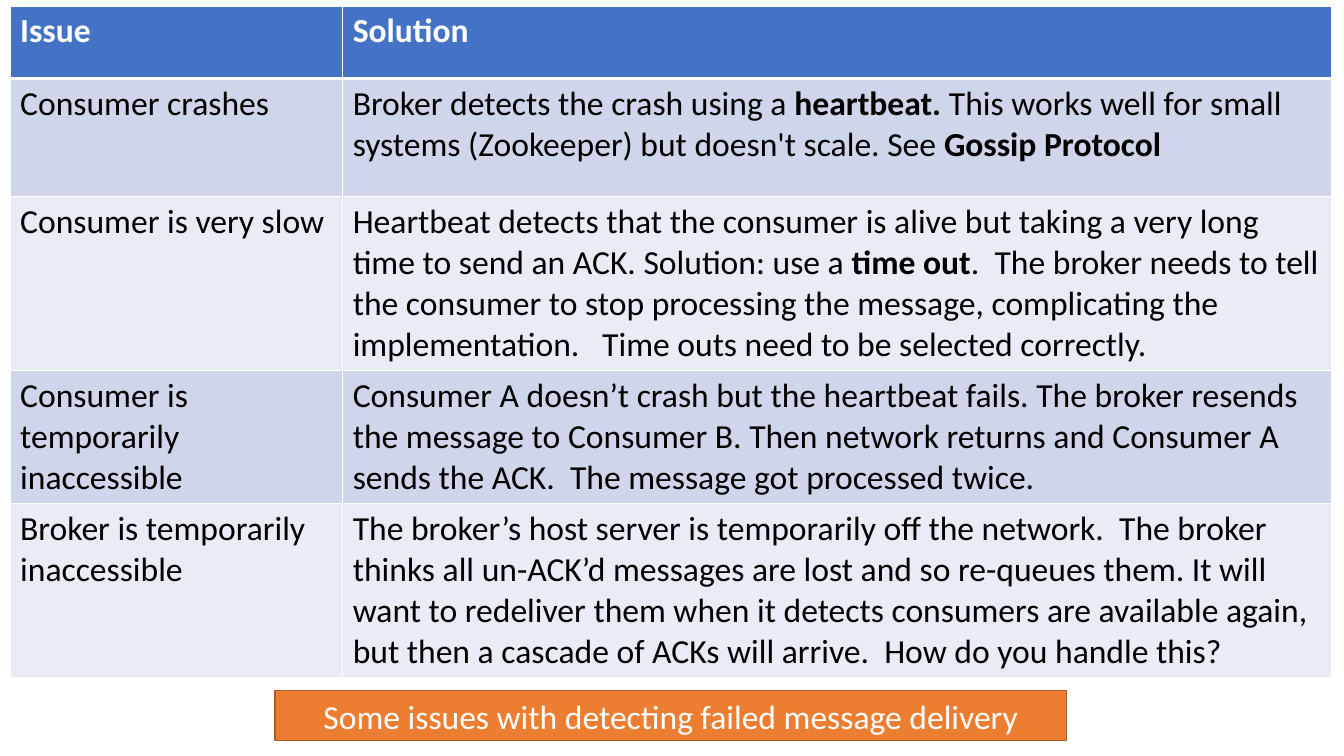
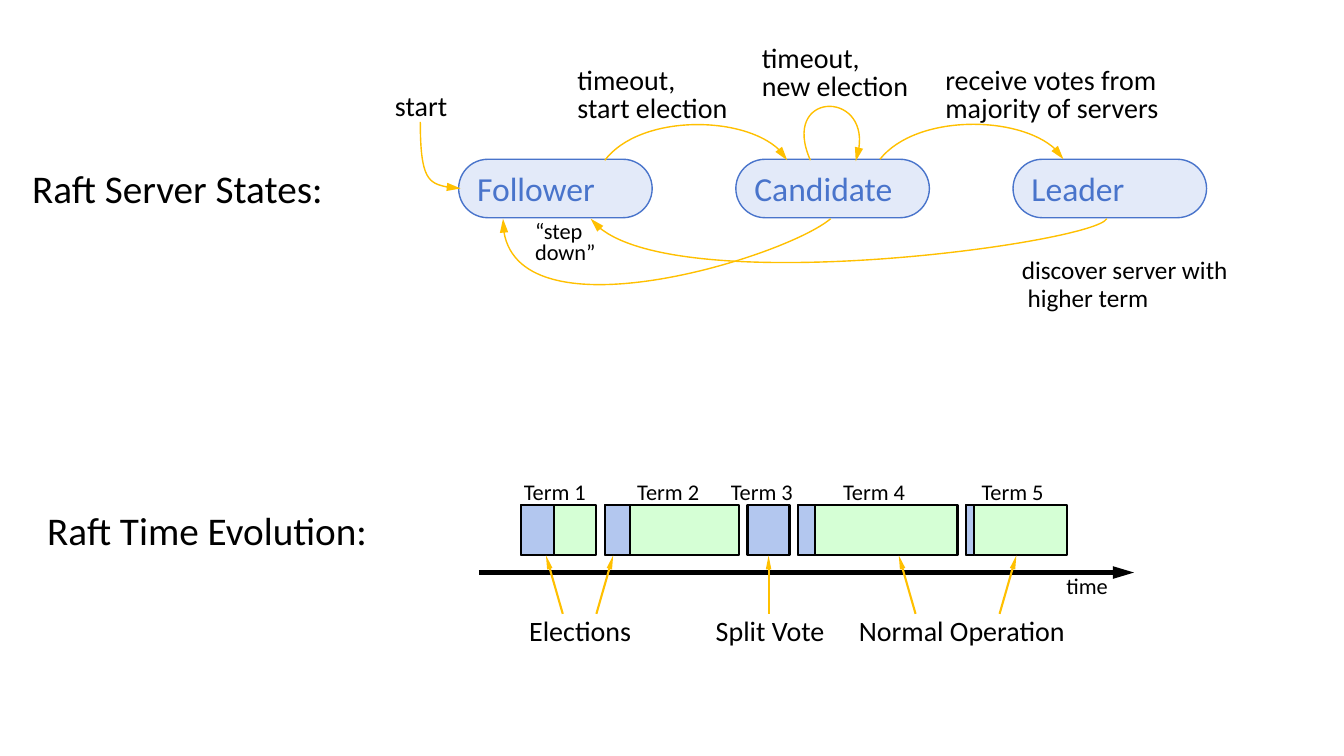
"""Build two slides on message delivery failures and the Raft protocol."""
from lxml.etree import SubElement
from pptx import Presentation
from pptx.dml.color import RGBColor
from pptx.enum.shapes import MSO_CONNECTOR, MSO_SHAPE
from pptx.enum.text import MSO_ANCHOR as Anchor, MSO_AUTO_SIZE as AutoSize, PP_ALIGN as Align
from pptx.oxml import parse_xml
from pptx.oxml.ns import nsdecls, qn
from pptx.util import Inches, Pt

FONT = "Calibri"
COLORS = {
    "white": "FFFFFF", "black": "000000", "header": "4472C4",
    "band": "CFD5EA", "pale band": "E9EBF5", "banner": "ED7D31",
    "banner line": "AF5C24", "state": "E3EAF9", "state line": "4974CB",
    "arrow": "FFC000", "election": "B3C7EF", "operation": "D5FFD5",
}

ISSUES = [
    ("**Issue", "**Solution"),
    ("Consumer crashes",
     "Broker detects the crash using a **heartbeat.** This works well for small systems "
     "(Zookeeper) but doesn't scale. See **Gossip Protocol"),
    ("Consumer is very slow",
     "Heartbeat detects that the consumer is alive but taking a very long time to send an ACK. "
     "Solution: use a **time out**.  The broker needs to tell the consumer to stop processing "
     "the message, complicating the implementation.   Time outs need to be selected correctly."),
    ("Consumer is temporarily inaccessible",
     "Consumer A doesn’t crash but the heartbeat fails. The broker resends the message to "
     "Consumer B. Then network returns and Consumer A sends the ACK.  The message got "
     "processed twice."),
    ("Broker is temporarily inaccessible",
     "The broker’s host server is temporarily off the network.  The broker thinks all un-ACK’d "
     "messages are lost and so re-queues them. It will want to redeliver them when it detects "
     "consumers are available again, but then a cascade of ACKs will arrive.  How do you "
     "handle this?"),
]
COLUMN_WIDTHS = [3.3, 9.81]
ROW_HEIGHTS = [0.72, 1.17, 1.49, 1.25, 1.49]
BANNER = "Some issues with detecting failed message delivery"

HEADINGS = [
    ("Raft Server States:", 0.22, 1.58, 3.27),
    ("Raft Time Evolution:", 0.37, 4.97, 3.58),
]
STATES = ["Follower", "Candidate", "Leader"]
TRANSITIONS = [
    [(4.17, 1.21), (4.17, 1.78), (4.29, 1.86), (4.57, 1.87)],
    [(6, 1.59), (6.35, 1.13), (7.57, 1.14), (7.81, 1.59)],
    [(8.73, 1.58), (9.09, 1.13), (10.3, 1.14), (10.55, 1.58)],
    [(8.04, 1.59), (7.74, 0.91), (8.73, 0.88), (8.49, 1.6)],
    [(8.24, 2.17), (7.79, 2.55), (4.97, 3.42), (4.99, 2.17)],
    [(10.98, 2.17), (10.85, 2.41), (6.49, 3.01), (5.86, 2.17)],
]
TRANSITION_LABELS = [
    ("start", 3.82, 0.83, 0.73, 0.44, 20, None),
    ("timeout,\nstart election", 5.63, 0.63, 1.71, 0.67, 20, 20),
    ("receive votes from\nmajority of servers", 9.28, 0.63, 2.34, 0.67, 20, 20),
    ("timeout,\nnew election", 7.46, 0.41, 1.67, 0.67, 20, 20),
    ("discover server with\n higher term", 10.04, 2.5, 2.27, 0.66, 18, 20),
    ("“step\ndown”", 5.21, 2.16, 0.81, 0.53, 16, 15),
]

UNIT = 1 / 12
TERMS_START, TERM_GAP = 62, 1
TERMS = [
    ("Term 1", 9, 4, 0.69), ("Term 2", 16, 3, 0.69), ("Term 3", 5, 5, 0.75),
    ("Term 4", 19, 2, 0.69), ("Term 5", 12, 1, 0.69),
]
TERM_TOP, TERM_HEIGHT = 5.01, 0.5
TIMELINE = (57, 135, 5.68)
POINTERS = [(67, 65), (71, 73), (91.5, 91.5), (109, 107), (119, 121)]
POINTER_START = 6.09
CAPTIONS = [
    ("time", 10.58, 5.68, 0.42, 0.27, 16),
    ("Elections", 5.25, 6.09, 1.03, 0.34, 20),
    ("Split Vote", 7.1, 6.09, 1.09, 0.34, 20),
    ("Normal Operation", 8.52, 6.09, 2.07, 0.34, 20),
]


def color(name):
    return RGBColor.from_string(COLORS[name])


def apply(target, values):
    for name, value in values.items():
        setattr(target, name, value)


def write(frame, text, size, ink="black", **layout):
    para = frame.paragraphs[0]
    apply(para, layout)
    for index, part in enumerate(text.split("**")):
        for row, line in enumerate(part.split("\n")):
            if row:
                para.add_line_break()
            if line:
                span = para.add_run()
                span.text = line
                apply(span.font, {"name": FONT, "size": Pt(size), "bold": index % 2 == 1})
                span.font.color.rgb = color(ink)


def add_text(page, text, left, top, width, height, size, spacing=None,
             wrap=False, inset=None, anchor=Anchor.TOP):
    box = page.shapes.add_textbox(*map(Inches, (left, top, width, height)))
    frame = box.text_frame
    apply(frame, {"word_wrap": wrap, "auto_size": AutoSize.SHAPE_TO_FIT_TEXT,
                  "vertical_anchor": anchor})
    if inset is not None:
        sides = ("left", "top", "right", "bottom")
        apply(frame, {f"margin_{side}": Inches(inset) for side in sides})
    layout = {"line_spacing": Pt(spacing)} if spacing else {}
    write(frame, text, size, **layout)


def add_box(page, preset, left, top, width, height, fill, line, weight):
    box = page.shapes.add_shape(preset, *map(Inches, (left, top, width, height)))
    box.shadow.inherit = False
    box.fill.solid()
    box.fill.fore_color.rgb = color(fill)
    box.line.color.rgb = color(line)
    box.line.width = Pt(weight)
    return box


def style_arrow(arrow, ink, weight, head_width="med"):
    arrow.line.color.rgb = color(ink)
    arrow.line.width = Pt(weight)
    properties = arrow._element.spPr
    SubElement(properties.find(qn("a:ln")), qn("a:tailEnd"),
               type="triangle", w=head_width, len="lg")
    if properties.find(qn("a:effectLst")) is None:
        SubElement(properties, qn("a:effectLst"))


def add_arrow(page, start, end, ink, weight, head_width="med"):
    arrow = page.shapes.add_connector(MSO_CONNECTOR.STRAIGHT, *map(Inches, start + end))
    style_arrow(arrow, ink, weight, head_width)
    return arrow


def curve_bounds(controls, steps=60):
    ratios = [step / steps for step in range(steps + 1)]
    spans = []
    for a, b, c, d in zip(*controls):
        values = [a * (1 - t) ** 3 + 3 * b * t * (1 - t) ** 2
                  + 3 * c * t * t * (1 - t) + d * t ** 3 for t in ratios]
        spans.append((Inches(min(values)), Inches(max(values))))
    return zip(*spans)


def add_curve(page, controls):
    low, high = curve_bounds(controls)
    builder = page.shapes.build_freeform(*low)
    builder.add_line_segments([high], close=False)
    curve = builder.convert_to_shape()
    outline = next(curve._element.iter(qn("a:path")))
    for segment in list(outline):
        outline.remove(segment)
    for tag, points in (("a:moveTo", controls[:1]), ("a:cubicBezTo", controls[1:])):
        segment = SubElement(outline, qn(tag))
        for x, y in points:
            SubElement(segment, qn("a:pt"), x=str(Inches(x) - low[0]),
                       y=str(Inches(y) - low[1]))
    curve.fill.background()
    curve.shadow.inherit = False
    style_arrow(curve, "arrow", 1)


def set_borders(cell, widths):
    properties = cell._tc.get_or_add_tcPr()
    for index, (side, width) in enumerate(widths.items()):
        properties.insert(index, parse_xml(
            f'<a:ln{side} {nsdecls("a")} w="{Pt(width)}"><a:solidFill>'
            f'<a:srgbClr val="{COLORS["white"]}"/></a:solidFill></a:ln{side}>'))


def build_issues(page):
    table = page.shapes.add_table(
        len(ISSUES), len(COLUMN_WIDTHS), Inches(0.1), Inches(0.06),
        Inches(sum(COLUMN_WIDTHS)), Inches(sum(ROW_HEIGHTS))).table
    table.horz_banding = False
    for column, width in zip(table.columns, COLUMN_WIDTHS):
        column.width = Inches(width)
    for row, (texts, height) in enumerate(zip(ISSUES, ROW_HEIGHTS)):
        table.rows[row].height = Inches(height)
        fill = ("pale band", "band")[row % 2] if row else "header"
        for column, text in enumerate(texts):
            cell = table.cell(row, column)
            cell.fill.solid()
            cell.fill.fore_color.rgb = color(fill)
            set_borders(cell, {"L": 1, "R": 1, "T": 3 if row == 1 else 1,
                               "B": 1 if row else 3})
            write(cell.text_frame, text, 24, "black" if row else "white")
    banner = add_box(page, MSO_SHAPE.RECTANGLE, 2.73, 6.85, 7.85, 0.5,
                     "banner", "banner line", 1)
    apply(banner.text_frame, {"vertical_anchor": Anchor.MIDDLE,
                              "auto_size": AutoSize.SHAPE_TO_FIT_TEXT})
    write(banner.text_frame, BANNER, 24, "white", alignment=Align.CENTER)


def build_states(page):
    for index, name in enumerate(STATES):
        state = add_box(page, MSO_SHAPE.ROUNDED_RECTANGLE, 4.55 + 2.75 * index, 1.58,
                        1.92, 0.58, "state", "state line", 1)
        state.adjustments[0] = 0.5
        state.text_frame.vertical_anchor = Anchor.MIDDLE
        write(state.text_frame, name, 24, "state line", alignment=Align.LEFT)
    for controls in TRANSITIONS:
        add_curve(page, controls)
    for label in TRANSITION_LABELS:
        add_text(page, *label)


def build_timeline(page):
    start, end, level = TIMELINE
    add_arrow(page, (start * UNIT, level), (end * UNIT, level), "black", 3)
    blocks = {}
    left = TERMS_START
    for name, length, election, label_width in TERMS:
        parts = [(length, "operation"), (election, "election")]
        if election == length:
            parts = parts[1:]
        shapes = [add_box(page, MSO_SHAPE.RECTANGLE, left * UNIT, TERM_TOP, width * UNIT,
                          TERM_HEIGHT, fill, "black", 1.5) for width, fill in parts]
        middle = left + length / 2
        blocks[middle] = shapes[0]
        add_text(page, name, middle * UNIT - label_width / 2, 4.74, label_width, 0.27, 16,
                 wrap=True, inset=0)
        left += length + TERM_GAP
    for start, tip in POINTERS:
        arrow = add_arrow(page, (start * UNIT, POINTER_START),
                          (tip * UNIT, TERM_TOP + TERM_HEIGHT), "arrow", 1.5, "sm")
        if tip in blocks:
            arrow.end_connect(blocks[tip], 2)
    for caption in CAPTIONS:
        add_text(page, *caption, inset=0)


def main():
    deck = Presentation()
    apply(deck, {"slide_width": Inches(40) // 3, "slide_height": Inches(7.5)})
    issues, raft = (deck.slides.add_slide(deck.slide_layouts[6]) for _ in range(2))
    build_issues(issues)
    build_states(raft)
    build_timeline(raft)
    for text, left, top, width in HEADINGS:
        add_text(raft, text, left, top, width, 0.57, 28, wrap=True, anchor=Anchor.MIDDLE)
    deck.save("out.pptx")


if __name__ == "__main__":
    main()
